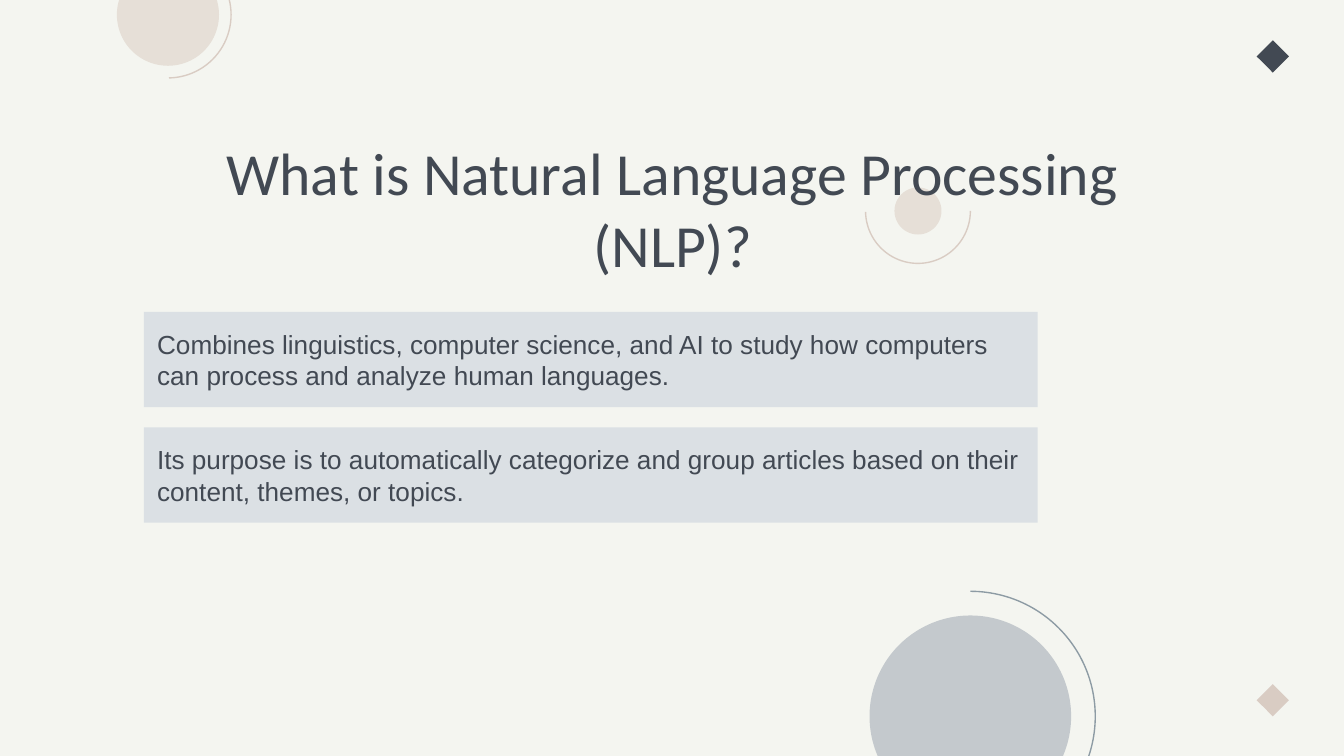
import pptx
import pptx.util
from pptx.dml.color import RGBColor
from pptx.enum.shapes import MSO_SHAPE
from pptx.enum.text import MSO_ANCHOR, PP_ALIGN
from pptx.util import Inches, Pt

THEME = {
    "background": "F4F5F0", "ink": "424953", "panel": "DBE0E4",
    "sand": "D9CCC3", "light_sand": "E6DFD7",
    "slate": "8D9BA4", "light_slate": "C4C9CD",
    "title": {"name": "Calibri", "size": Pt(32)},
    "body": {"name": "Arial", "size": Pt(14)},
    "arc_width": Pt(0.75),
}

TITLE = "What is Natural Language Processing\v(NLP)?"
POINTS = [
    "Combines linguistics, computer science, and AI to study how computers "
    "can process and analyze human languages.",
    "Its purpose is to automatically categorize and group articles based on "
    "their content, themes, or topics.",
]
# centre x, centre y, colour
DIAMONDS = [(9.47, 0.42, "ink"), (9.47, 5.21, "sand")]
DIAMOND_SIDE = 0.17
# centre x, centre y, disc diameter, arc diameter, arc rotation, disc, arc
ORBITS = [
    (7.22, 5.33, 1.5, 1.86, 0, "light_slate", "slate"),
    (1.25, 0.11, 0.76, 0.94, 0, "light_sand", "sand"),
    (6.83, 1.57, 0.35, 0.78, 90, "light_sand", "sand"),
]
ARC_ANGLES = (162, 53.39)  # start 270 and end 89 degrees, times 0.6
TITLE_BOX = (0.18, 0.32, 9.65, 1.86)
PANEL_BOX = (1.07, 2.32, 6.65, 0.71)
PANEL_STEP = 0.86
INSET = Inches(0.1)


def color(name):
    return RGBColor.from_string(THEME[name])


def add_shape(slide, kind, box, fill=None, line=None):
    sp = slide.shapes.add_shape(kind, *map(Inches, box))
    sp.shadow.inherit = False
    if fill:
        sp.fill.solid()
        sp.fill.fore_color.rgb = color(fill)
    else:
        sp.fill.background()
    if line:
        sp.line.color.rgb = color(line)
        sp.line.width = THEME["arc_width"]
    else:
        sp.line.fill.background()
    return sp


def centred(x, y, size):
    return x - size / 2, y - size / 2, size, size


def set_text(sp, text, style, anchor, align):
    tf = sp.text_frame
    frame = {"word_wrap": True, "vertical_anchor": anchor}
    frame.update({f"margin_{side}": INSET
                  for side in ("left", "top", "right", "bottom")})
    for key, value in frame.items():
        setattr(tf, key, value)
    p = tf.paragraphs[0]
    p.text = text
    p.alignment = align
    for r in p.runs:
        for key, value in THEME[style].items():
            setattr(r.font, key, value)
        r.font.color.rgb = color("ink")


def main():
    prs = pptx.Presentation()
    prs.slide_width = Inches(10)
    prs.slide_height = prs.slide_width * 9 // 16
    slide = prs.slides.add_slide(prs.slide_layouts[6])
    slide.background.fill.solid()
    slide.background.fill.fore_color.rgb = color("background")

    for x, y, fill in DIAMONDS:
        sp = add_shape(slide, MSO_SHAPE.RECTANGLE,
                       centred(x, y, DIAMOND_SIDE), fill)
        sp.rotation = 45

    for x, y, disc, ring, rotation, fill, line in ORBITS:
        add_shape(slide, MSO_SHAPE.OVAL, centred(x, y, disc), fill)
        arc = add_shape(slide, MSO_SHAPE.ARC, centred(x, y, ring), line=line)
        arc.rotation = rotation
        for i, angle in enumerate(ARC_ANGLES):
            arc.adjustments[i] = angle

    left, top, width, height = PANEL_BOX
    for i, point in enumerate(POINTS):
        box = (left, top + i * PANEL_STEP, width, height)
        panel = add_shape(slide, MSO_SHAPE.RECTANGLE, box, "panel")
        set_text(panel, point, "body", MSO_ANCHOR.MIDDLE, PP_ALIGN.LEFT)

    title = slide.shapes.add_textbox(*map(Inches, TITLE_BOX))
    set_text(title, TITLE, "title", MSO_ANCHOR.BOTTOM, PP_ALIGN.CENTER)

    prs.save("out.pptx")


if __name__ == "__main__":
    main()
